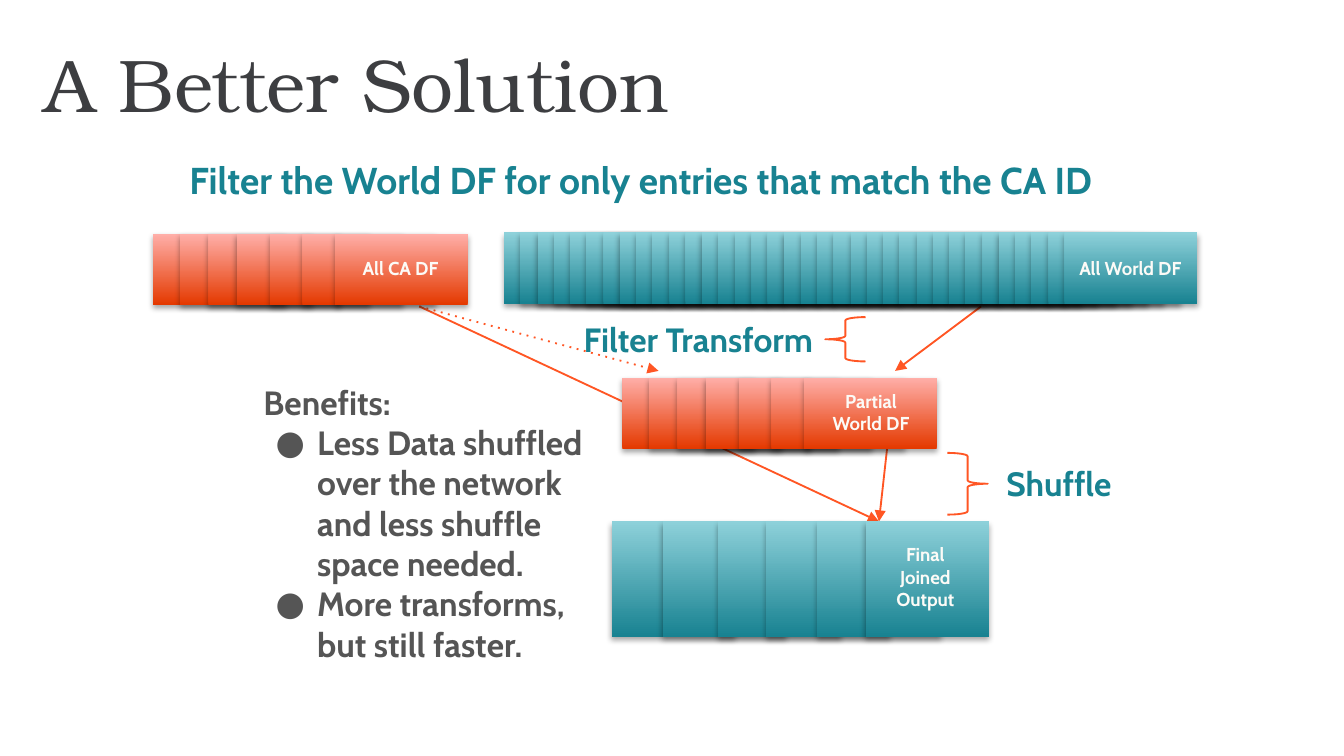
from pptx import Presentation
from pptx.dml.color import RGBColor
from pptx.enum.shapes import MSO_CONNECTOR, MSO_SHAPE
from pptx.enum.text import MSO_ANCHOR, PP_ALIGN
from pptx.oxml import parse_xml
from pptx.oxml.ns import nsdecls
from pptx.util import Pt

PX = 9144  # 100 px to the inch
INK = {"title": "3D3E41", "teal": "188291", "mint": "8ED1DA", "red": "E43900",
       "pink": "FFAFA9", "line": "FF5624", "gray": "555555", "cream": "FCFBF7"}
RGB = {name: RGBColor.from_string(code) for name, code in INK.items()}
NS = nsdecls("a")
SHADOW = (f'<a:outerShdw {NS} blurRad="38100" dist="22860" dir="5400000" '
          'rotWithShape="0"><a:srgbClr val="000000"><a:alpha val="35000"/>'
          '</a:srgbClr></a:outerShdw>')

# Widescreen, 16 to 9
deck = Presentation()
deck.slide_width, deck.slide_height = 1000 * PX, 1000 * PX * 9 // 16
slide = deck.slides.add_slide(deck.slide_layouts[5])
shapes = slide.shapes


def write(box, lines, size, color, align, font="Cabin", inset=7,
          anchor=MSO_ANCHOR.TOP):
    frame = box.text_frame
    form = {"word_wrap": True, "vertical_anchor": anchor}
    for side in ("left", "right", "top", "bottom"):
        form[f"margin_{side}"] = inset * PX
    for key, value in form.items():
        setattr(frame, key, value)
    frame.text = "\n".join(lines)
    for par in frame.paragraphs:
        par.alignment = align
        face = {"name": font, "size": Pt(size), "bold": font == "Cabin"}
        for key, value in face.items():
            setattr(par.runs[0].font, key, value)
        par.runs[0].font.color.rgb = RGB[color]
    return frame


def place(*area):
    return [value * PX for value in area]


# Title
title = shapes.title
title.left, title.top, title.width, title.height = place(28, 23, 936, 94)
write(title, ["A Better Solution"], 40, "title", PP_ALIGN.LEFT, "TeX Gyre Bonum", 5)

# Heading, set slightly left of centre
head = shapes.add_textbox(*place(108, 113, 750, 42))
frame = write(head, ["Filter the World DF for only entries that match the CA ID"],
              20, "teal", PP_ALIGN.CENTER, inset=4)
frame.margin_right = 16 * PX

# Arrows, drawn behind the stacks
arrows = []
for x1, y1, x2, y2, dash in [(730, 228, 666, 276, False),
                             (312, 228, 490, 276, True),
                             (660, 334, 654, 388, False),
                             (312, 228, 654, 388, False)]:
    arrow = shapes.add_connector(MSO_CONNECTOR.STRAIGHT, *place(x1, y1, x2, y2))
    arrow.line.color.rgb = RGB["line"]
    arrow.line.width = Pt(1)
    edge = arrow.line._get_or_add_ln()
    if dash:
        edge.append(parse_xml(f'<a:prstDash {NS} val="dot"/>'))
    edge.append(parse_xml(f'<a:tailEnd {NS} type="triangle"/>'))
    arrow._element.spPr.append(parse_xml(f"<a:effectLst {NS}/>"))
    arrows.append(arrow)

# Step braces
for kind, area in [(MSO_SHAPE.LEFT_BRACE, (614, 236, 30, 33)),
                   (MSO_SHAPE.RIGHT_BRACE, (705, 337, 30, 46))]:
    brace = shapes.add_shape(kind, *place(*area))
    brace.shadow.inherit = False
    brace.fill.background()
    brace.line.color.rgb = RGB["line"]
    brace.line.width = Pt(1)

# Step names
for text, area in [("Filter Transform", (366, 229, 246, 47)),
                   ("Shuffle", (724, 336, 110, 47))]:
    box = shapes.add_textbox(*place(*area))
    write(box, [text], 18, "teal", PP_ALIGN.RIGHT, anchor=MSO_ANCHOR.MIDDLE)

# Benefits list
box = shapes.add_textbox(*place(189, 277, 279, 239))
frame = write(box, ["Benefits:",
                    "Less Data shuffled over the network and less shuffle space needed.",
                    "More transforms, but still faster."], 18, "gray", PP_ALIGN.LEFT)
for par in frame.paragraphs[1:]:
    props = par._p.get_or_add_pPr()
    props.set("marL", str(40 * PX))
    props.set("indent", str(-31 * PX))
    for mark in (f'<a:buClr {NS}><a:srgbClr val="{INK["gray"]}"/></a:buClr>',
                 f'<a:buFont {NS} typeface="Cabin"/>',
                 f'<a:buChar {NS} char="●"/>'):
        props.append(parse_xml(mark))

# Stacks of partitions: slice offsets, first slice, colours, label, label area
small = [0, 20, 41, 62, 87, 111, 135]
world = [round(i * 417 / 34) for i in range(35)]
final = [0, 38, 79, 115, 153, 189]
warm, cool = ("red", "pink"), ("teal", "mint")
stacks = [(small, (114, 174, 99, 53), warm, "All CA DF", (252, 184, 92, 44)),
          (world, (375, 173, 99, 53), cool, "All World DF", (795, 184, 92, 44)),
          (final, (455, 388, 92, 86), cool, "Final Joined Output", (650, 397, 77, 69)),
          (small, (463, 281, 99, 53), warm, "Partial World DF", (602, 283, 92, 53))]
for steps, (left, top, wide, high), tones, label, area in stacks:
    for i, step in enumerate(steps):
        part = shapes.add_shape(MSO_SHAPE.RECTANGLE,
                                *place(left + step, top, wide, high))
        part.fill.gradient()
        part.fill.gradient_angle = 90
        for stop, tone in zip(part.fill.gradient_stops, tones):
            stop.color.rgb = RGB[tone]
        part.line.fill.background()
        part.shadow.inherit = False
        part._element.spPr[-1].append(parse_xml(SHADOW))
        # Both shuffle arrows meet on the fifth output slice
        if steps is final and i == 4:
            for arrow in arrows[2:]:
                arrow.end_connect(part, 0)
    box = shapes.add_textbox(*place(*area))
    write(box, [label], 10, "cream", PP_ALIGN.CENTER)

deck.save("out.pptx")
